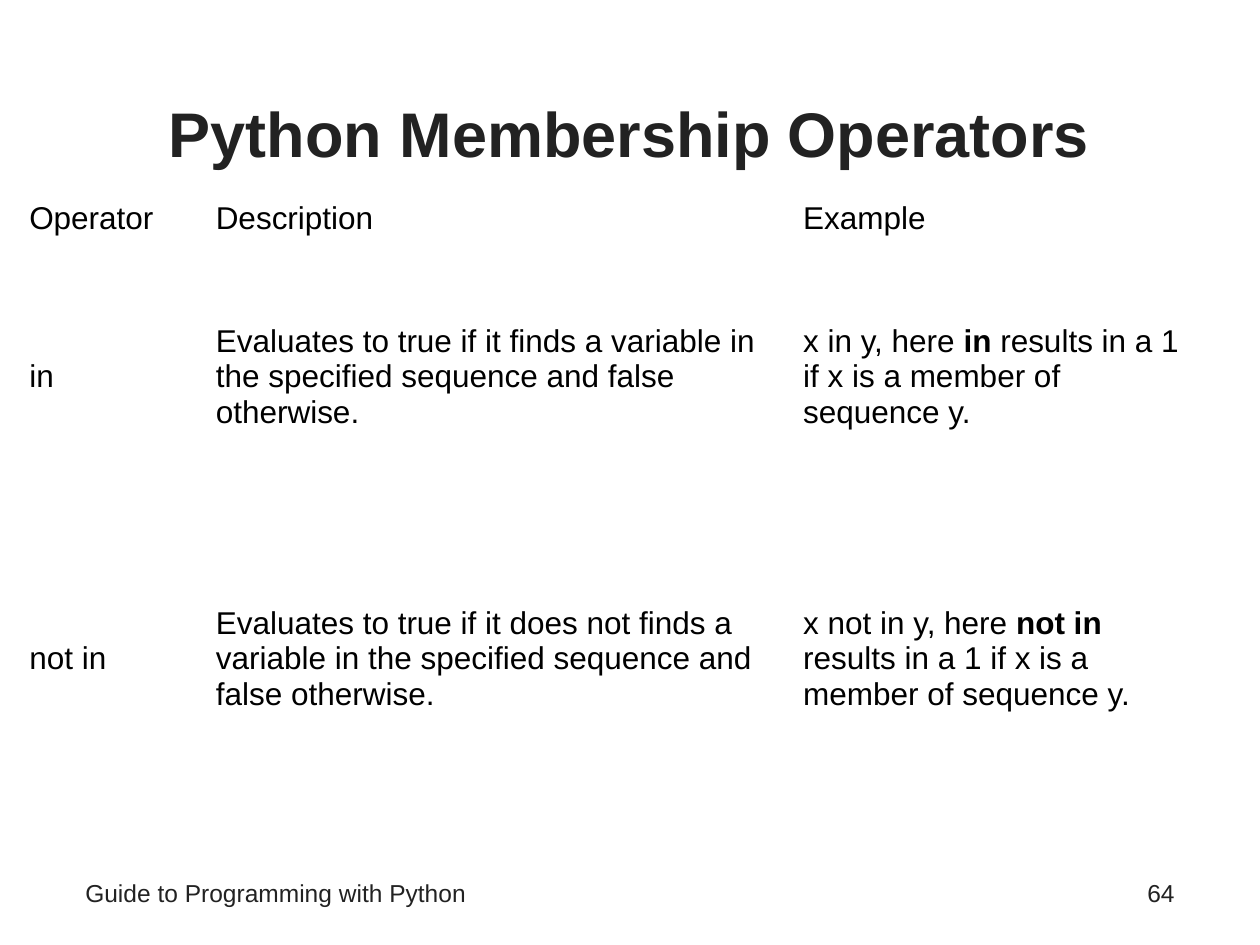
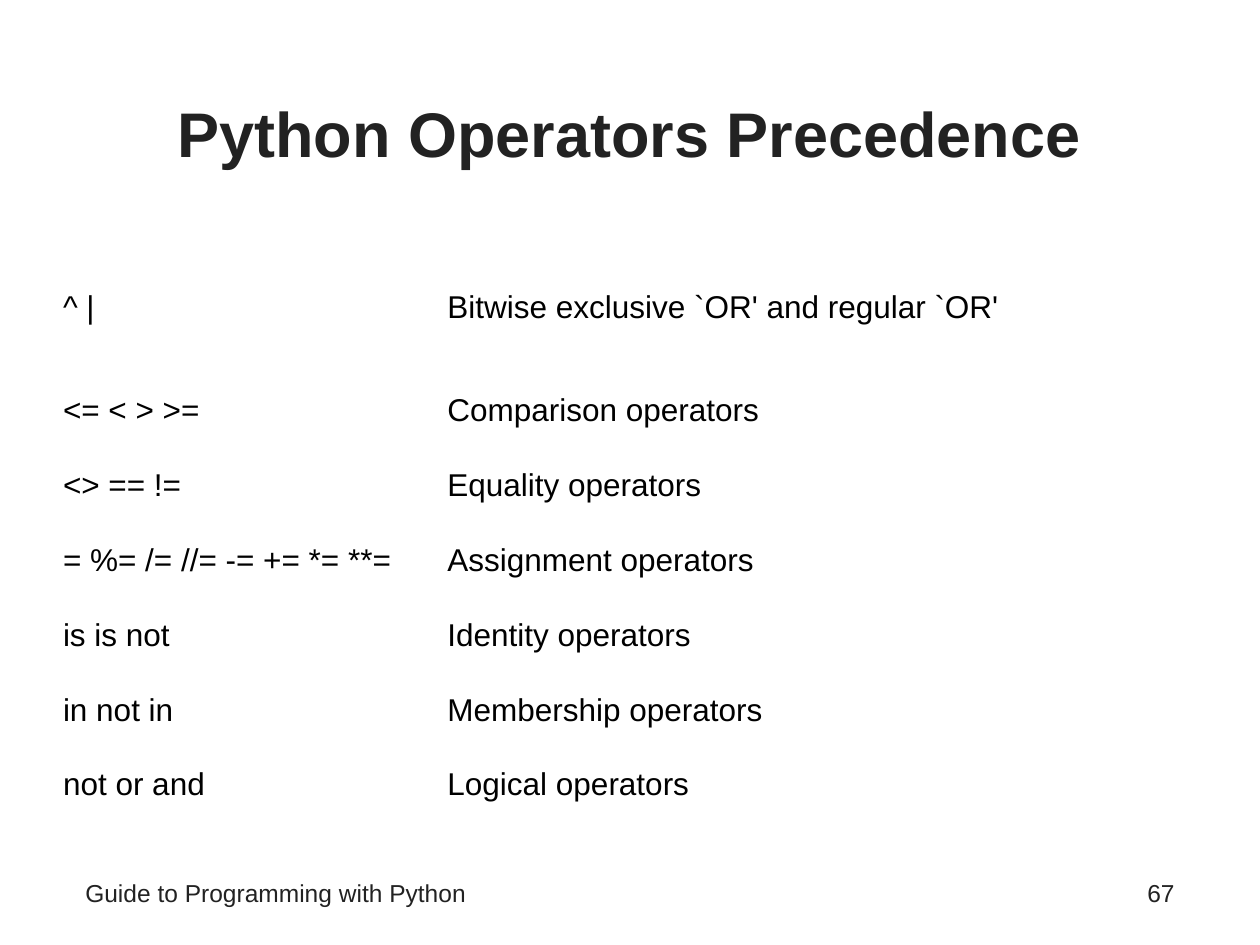
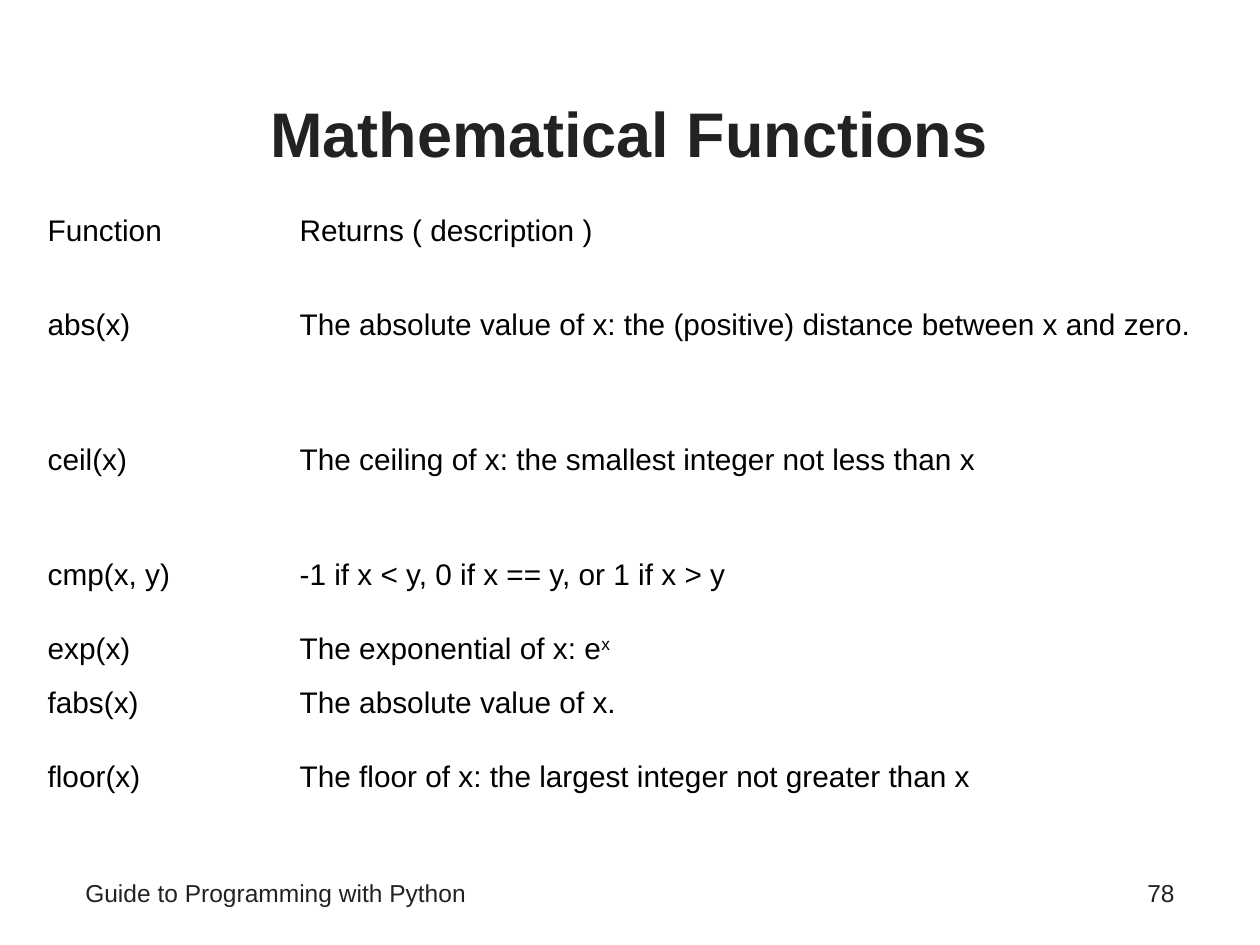
from pptx import Presentation
from pptx.dml.color import RGBColor as RGB
from pptx.enum.text import MSO_ANCHOR as ANCHOR, MSO_AUTO_SIZE as FIT, PP_ALIGN as ALIGN
from pptx.util import Cm, Pt

COLORS = {"heading": "222222", "body": "000000"}
FONT = "Arial"
FOOTER = "Guide to Programming with Python"
MEMBERSHIP = [
    ["Operator", "Description", "Example"],
    ["in",
     "Evaluates to true if it finds a variable in the specified sequence and false otherwise.",
     [("x in y, here ", {}), ("in", {"bold": True}),
      (" results in a 1 if x is a member of sequence y.", {})]],
    ["not in",
     "Evaluates to true if it does not finds a variable in the specified sequence and false otherwise.",
     [("x not in y, here ", {}), ("not in", {"bold": True}),
      (" results in a 1 if x is a member of sequence y.", {})]],
]
PRECEDENCE = [
    ["^ |", "Bitwise exclusive `OR' and regular `OR'"],
    ["<= < > >=", "Comparison operators"],
    ["<> == !=", "Equality operators"],
    ["= %= /= //= -= += *= **=", "Assignment operators"],
    ["is is not", "Identity operators"],
    ["in not in", "Membership operators"],
    ["not or and", "Logical operators"],
]
FUNCTIONS = [
    ["Function", "Returns ( description )"],
    ["abs(x)", "The absolute value of x: the (positive) distance between x and zero."],
    ["ceil(x)", "The ceiling of x: the smallest integer not less than x"],
    ["cmp(x, y)", "-1 if x < y, 0 if x == y, or 1 if x > y"],
    ["exp(x)", [("The exponential of x: e", {}), ("x", {"baseline": 30000})]],
    ["fabs(x)", "The absolute value of x."],
    ["floor(x)", "The floor of x: the largest integer not greater than x"],
]


def add_run(p, text, size=18, color="body", bold=False, baseline=None):
    """Append one formatted run to a paragraph."""
    r = p.add_run()
    r.text = text
    r.font.name, r.font.size, r.font.bold = FONT, Pt(size), bold
    r.font.color.rgb = RGB.from_string(COLORS[color])
    if baseline:
        r._r.get_or_add_rPr().set("baseline", str(baseline))


def write(tf, text, align=ALIGN.LEFT, **fmt):
    """Fill a text frame with a string or a list of (text, format) runs."""
    p = tf.paragraphs[0]
    p.alignment = align
    for part, extra in [(text, {})] if isinstance(text, str) else text:
        add_run(p, part, **{**fmt, **extra})


def add_title(s, text):
    """Place and fill the title placeholder."""
    sp = s.shapes.title
    sp.left, sp.top, sp.width, sp.height = Cm(1.47), Cm(1.07), Cm(22.43), Cm(3.18)
    tf = sp.text_frame
    tf.auto_size, tf.vertical_anchor = FIT.NONE, ANCHOR.MIDDLE
    write(tf, text, align=ALIGN.CENTER, size=36, color="heading", bold=True)


def add_footer_text(s, text, left, width, align):
    """Add one text box on the footer line."""
    tf = s.shapes.add_textbox(Cm(left), Cm(17.58), Cm(width), Cm(1.07)).text_frame
    tf.word_wrap = True
    write(tf, text, align=align, size=14, color="heading")


def add_grid(s, rows, left, top, widths, heights, size=18, margin=0.25):
    """Add a plain table without fills."""
    frame = s.shapes.add_table(len(rows), len(widths), Cm(left), Cm(top),
                               Cm(sum(widths)), Cm(sum(heights)))
    table = frame.table
    table.first_row = table.horz_banding = False
    for column, width in zip(table.columns, widths):
        column.width = Cm(width)
    for row, height, texts in zip(table.rows, heights, rows):
        row.height = Cm(height)
        for cell, text in zip(row.cells, texts):
            cell.fill.background()
            cell.vertical_anchor = ANCHOR.MIDDLE
            cell.margin_left = cell.margin_right = Cm(margin)
            write(cell.text_frame, text, size=size)


def add_slide(prs, title, number):
    """Add a slide with its title, footer and page number."""
    s = prs.slides.add_slide(prs.slide_layouts[5])
    add_title(s, title)
    add_footer_text(s, FOOTER, 1.47, 16.31, ALIGN.LEFT)
    add_footer_text(s, str(number), 18.21, 5.72, ALIGN.RIGHT)
    return s


def main():
    """Build the three slides and save them."""
    prs = Presentation()
    prs.slide_width, prs.slide_height = Cm(25.4), Cm(19.05)

    s = add_slide(prs, "Python Membership Operators", 64)
    add_grid(s, MEMBERSHIP, 0.56, 3.89, [3.76, 11.84, 8.08], [0.86, 5.38, 5.99], margin=0.03)

    s = add_slide(prs, "Python Operators Precedence", 67)
    add_grid(s, PRECEDENCE, 1.02, 4.88, [7.75, 15.98], [2.64] + [1.51] * 6)

    s = add_slide(prs, "Mathematical Functions", 78)
    add_grid(s, FUNCTIONS, 0.71, 4.11, [5.08, 18.87],
             [1.09, 2.72, 2.72, 1.9, 1.09, 1.09, 1.9], size=17)

    prs.save("out.pptx")


if __name__ == "__main__":
    main()
